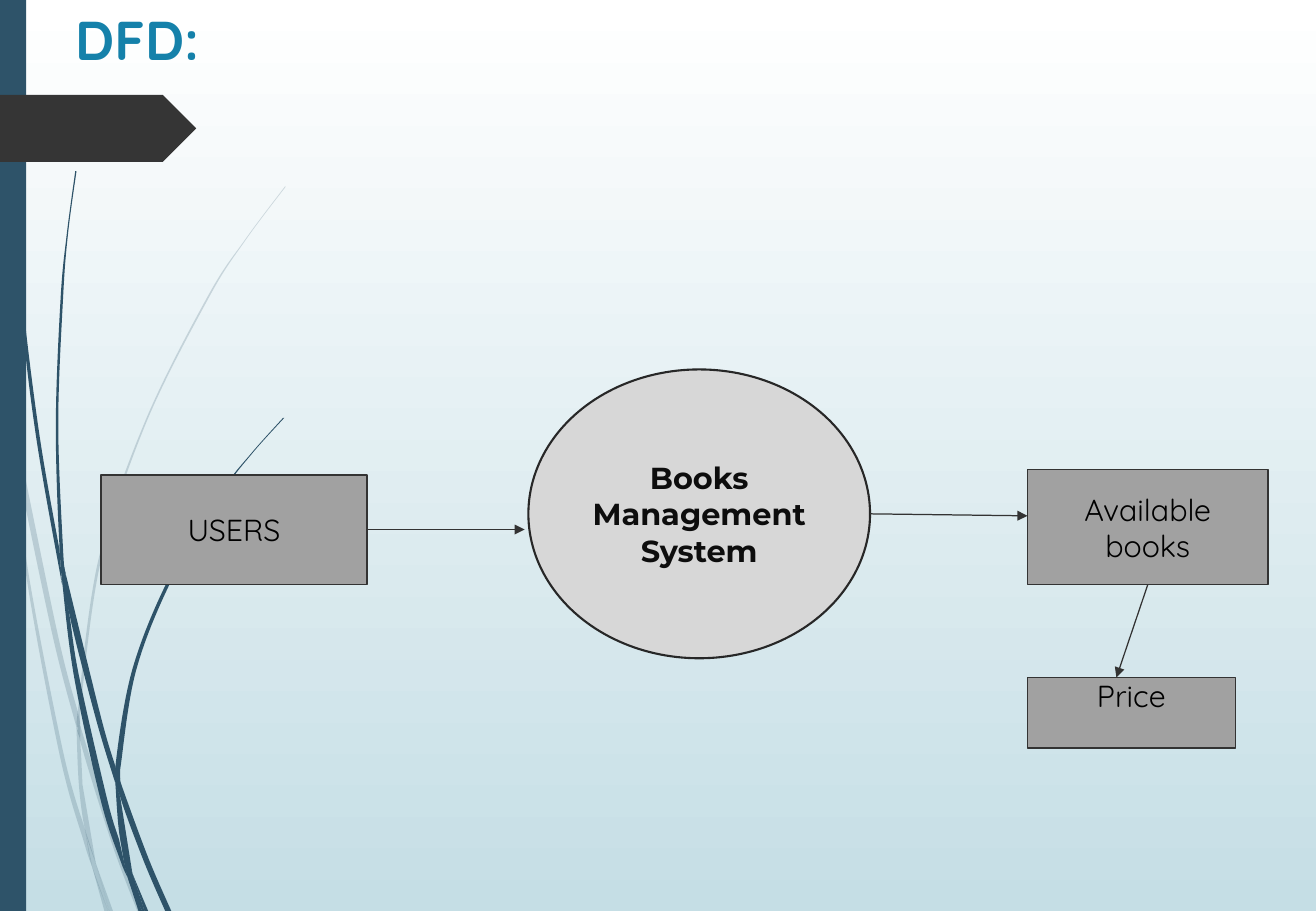
from pptx import Presentation
from pptx.dml.color import RGBColor
from pptx.enum.shapes import MSO_CONNECTOR, MSO_SHAPE
from pptx.enum.text import MSO_ANCHOR, PP_ALIGN
from pptx.oxml.ns import qn
from pptx.util import Pt
from lxml.etree import SubElement


def rgb(color):
    """Turn a hex string into a colour."""
    return RGBColor.from_string(color)


def curve(edge):
    """Return Bezier points (two controls, one end) for a smooth edge."""
    padded = [edge[0], *edge, edge[-1]]
    points = []
    for a, b, c, d in zip(padded, padded[1:], padded[2:], padded[3:]):
        points.append([q + (r - p) / 6 for p, q, r in zip(a, b, c)])
        points.append([r - (s - q) / 6 for q, r, s in zip(b, c, d)])
        points.append(c)
    return points


TEAL, DARK, LINE = "2E5369", "353535", "333333"
GRID = 0.72  # points per unit of the grass grid

prs = Presentation()
prs.slide_width, prs.slide_height = Pt(780), Pt(540)
slide = prs.slides.add_slide(prs.slide_layouts[5])
shapes = slide.shapes

fill = slide.background.fill
fill.gradient()
fill.gradient_angle = 270
for stop, color in zip(fill.gradient_stops, ("FFFFFF", "C5DEE5")):
    stop.color.rgb = rgb(color)

# Grass blades on the grid: the edge going down, then the edge going up
pale = [
    ([(11, 345), (13, 376), (43, 522), (63, 599)], [(64, 586), (47, 520), (11, 345)]),
    ([(66, 596), (66, 610), (92, 694), (113, 750)],
     [(117, 750), (96, 692), (69, 607), (66, 596)]),
    ([(79, 711), (90, 750)], [(93, 750), (79, 711)]),
    ([(8, 350), (21, 470), (49, 621), (69, 693), (76, 714)],
     [(70, 683), (52, 619), (23, 469), (13, 376), (8, 350)]),
    ([(63, 599), (65, 646), (70, 683), (79, 711)], [(68, 646), (66, 610), (63, 599)]),
    ([(235, 153), (202, 197), (171, 244), (119, 348), (81, 461), (64, 586), (66, 596)],
     [(66, 584), (83, 462), (120, 349), (172, 245), (202, 198), (235, 154)]),
    ([(76, 714), (86, 750)], [(89, 750), (76, 714)]),
    ([(64, 586), (63, 599), (66, 608)], [(66, 610), (66, 596), (64, 586)]),
    ([(70, 683), (76, 714), (89, 750)], [(90, 750), (79, 711), (70, 683)]),
]
dark = [
    ([(2, 0), (6, 110), (15, 233), (29, 355), (51, 481)],
     [(49, 453), (32, 355), (17, 232), (7, 109), (3, 0)]),
    ([(54, 472), (57, 505), (79, 592), (95, 645)], [(95, 631), (83, 590), (54, 472)]),
    ([(99, 641), (99, 656), (118, 708), (136, 750)],
     [(141, 750), (122, 706), (101, 649), (99, 641)]),
    ([(51, 477), (61, 557), (83, 659), (99, 708), (105, 722)],
     [(98, 691), (88, 657), (65, 556), (57, 505), (51, 477)]),
    ([(62, 141), (55, 193), (50, 245), (46, 349), (49, 449), (53, 472)],
     [(54, 472), (52, 453), (48, 349), (52, 245), (56, 193), (63, 141)]),
    ([(109, 719), (119, 750)], [(122, 750), (109, 719)]),
    ([(49, 449), (51, 477), (57, 505)], [(54, 472), (49, 449)]),
    ([(233, 344), (207, 373), (182, 405), (140, 474), (109, 551), (95, 631), (99, 641)],
     [(99, 633), (112, 552), (142, 476), (183, 406), (207, 374), (234, 344)]),
    ([(105, 722), (114, 750)], [(117, 750), (105, 722)]),
    ([(95, 645), (99, 691), (109, 719)], [(99, 656), (95, 645)]),
    ([(95, 631), (95, 645), (99, 656)], [(99, 641), (95, 631)]),
    ([(99, 691), (105, 722), (117, 750)], [(119, 750), (109, 719), (99, 691)]),
]
for opacity, blades in [(20, pale), (100, dark)]:
    for down, up in blades:
        joint = [down[-1], up[0], up[0]]
        outline = [(Pt(x * GRID), Pt(y * GRID))
                   for x, y in [down[0], *curve(down), *joint, *curve(up)]]
        builder = shapes.build_freeform(*outline[0])
        builder.add_line_segments(outline[1:], close=True)
        sp = builder.convert_to_shape()
        # Merge every three line steps into one Bezier step
        steps = list(sp._element.iter(qn("a:lnTo")))
        for first, second, third in zip(steps[::3], steps[1::3], steps[2::3]):
            first.tag = qn("a:cubicBezTo")
            for step in (second, third):
                first.append(step[0])
                step.getparent().remove(step)
        sp.shadow.inherit = False
        sp.fill.solid()
        sp.fill.fore_color.rgb = rgb(TEAL)
        sp.line.fill.background()
        if opacity < 100:
            color = sp._element.spPr.find(f"{qn('a:solidFill')}/{qn('a:srgbClr')}")
            SubElement(color, qn("a:alpha"), val=str(opacity * 1000))

# Side bar and arrow tab
for kind, top, width, height, color in [
    (MSO_SHAPE.RECTANGLE, 0, 15.6, 540, TEAL),
    (MSO_SHAPE.PENTAGON, 56.2, 116.3, 39.8, DARK),
]:
    sp = shapes.add_shape(kind, 0, Pt(top), Pt(width), Pt(height))
    sp.shadow.inherit = False
    sp.fill.solid()
    sp.fill.fore_color.rgb = rgb(color)
    sp.line.fill.background()

title = shapes.title
title.left, title.top, title.width, title.height = Pt(37.4), Pt(0), Pt(552), Pt(49)
tf = title.text_frame
tf.text = "DFD:"
tf.vertical_anchor = MSO_ANCHOR.MIDDLE
tf.margin_bottom = Pt(7.2)
p = tf.paragraphs[0]
p.alignment = PP_ALIGN.LEFT
p.font.name, p.font.size, p.font.bold = "Quicksand", Pt(32.4), True
p.font.color.rgb = rgb("1581AA")

# Diagram nodes
box = (MSO_SHAPE.RECTANGLE, "A1A1A1", LINE, 0.75, "Quicksand", "000000", False)
process = (MSO_SHAPE.OVAL, "D7D7D7", "272727", 1.25, "Montserrat", "0D0D0D", True)
nodes = [
    ("Books Management System", process, 313.2, 219, 202.5, 171.2, MSO_ANCHOR.MIDDLE),
    ("USERS", box, 59.8, 281.5, 157.8, 65, MSO_ANCHOR.MIDDLE),
    ("Available books", box, 609, 278.4, 142.6, 68.2, MSO_ANCHOR.MIDDLE),
    ("Price", box, 609, 401.6, 123.2, 41.8, MSO_ANCHOR.TOP),
]
for text, style, left, top, width, height, anchor in nodes:
    kind, color, line, weight, font, ink, bold = style
    sp = shapes.add_shape(kind, Pt(left), Pt(top), Pt(width), Pt(height))
    sp.shadow.inherit = False
    sp.fill.solid()
    sp.fill.fore_color.rgb = rgb(color)
    sp.line.color.rgb = rgb(line)
    sp.line.width = Pt(weight)
    tf = sp.text_frame
    tf.word_wrap = True
    tf.vertical_anchor = anchor
    tf.margin_top = tf.margin_bottom = 0
    tf.text = text
    p = tf.paragraphs[0]
    p.alignment = PP_ALIGN.CENTER
    p.font.name, p.font.size, p.font.bold = font, Pt(18), bold
    p.font.color.rgb = rgb(ink)

# Data flows
for flow in [(217.6, 313.9, 311, 313.9), (515.7, 304.6, 609, 305.8),
             (680.3, 346.6, 661.7, 401.6)]:
    s = shapes.add_connector(MSO_CONNECTOR.STRAIGHT, *map(Pt, flow))
    s.line.color.rgb = rgb(LINE)
    s.line.width = Pt(0.75)
    SubElement(s.line._get_or_add_ln(), qn("a:tailEnd"), type="triangle")
    SubElement(s._element.spPr, qn("a:effectLst"))

prs.save("out.pptx")
